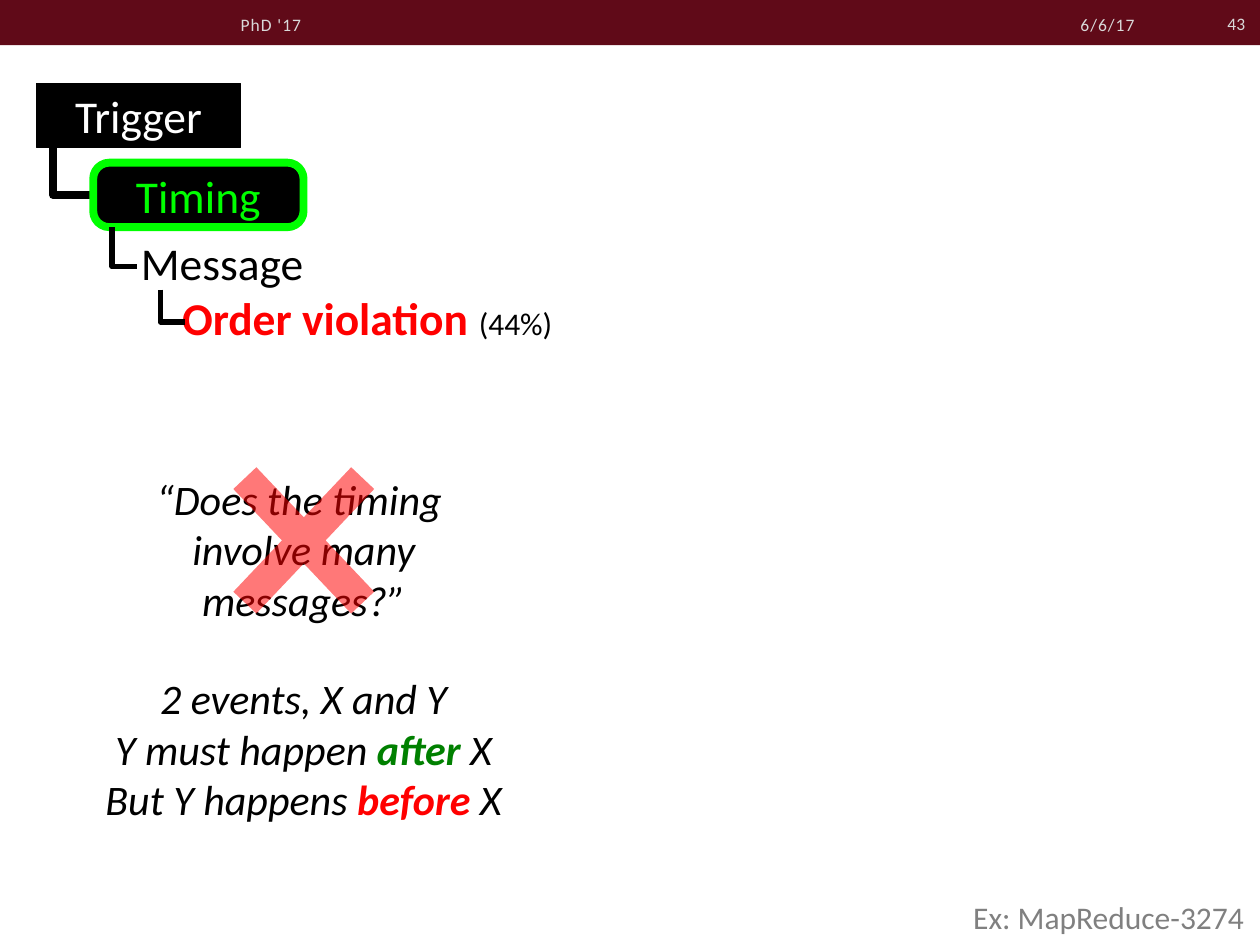
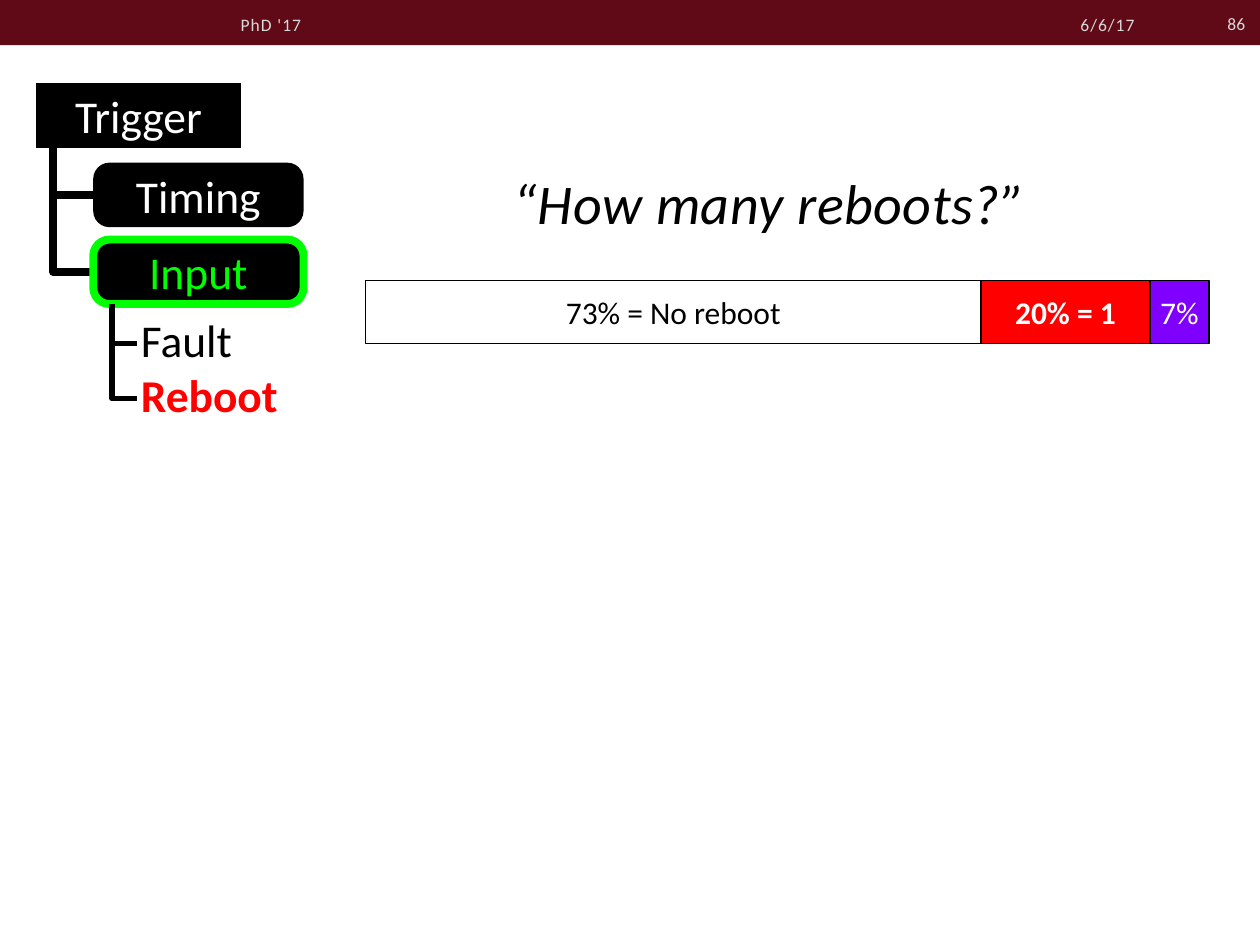
from dataclasses import dataclass

from lxml import etree
from pptx import Presentation
from pptx import util as u
from pptx.dml.color import RGBColor
from pptx.enum import shapes, text
from pptx.oxml.ns import qn


@dataclass(frozen=True)
class Theme:
    font: str = "Calibri"
    band: str = "600A18"
    band_text: str = "D9D9D9"
    ink: str = "000000"
    paper: str = "FFFFFF"
    active: str = "00FF00"
    alert: str = "FF0000"
    good: str = "008000"
    rest: str = "8000FF"
    muted: str = "808080"
    band_size: float = 10
    label_size: float = 18
    body_size: float = 24
    tree_size: float = 26
    question_size: float = 32


THEME = Theme()
PAGE_WIDTH, PAGE_HEIGHT = 25.4, 19.05
KINDS = shapes.MSO_SHAPE
ALIGN = text.PP_ALIGN
EMPHASIS = dict(color=THEME.alert, bold=True)

# Trigger tree, in cm
ROOT = (0.74, 1.68, 4.11, 1.3)
BRANCH_LEFT, BRANCH_TOP, BRANCH_WIDTH, BRANCH_HEIGHT = 1.88, 3.28, 4.24, 1.3
BRANCH_PITCH = 1.55


def color_of(value):
    return RGBColor.from_string(value)


def write(shape, paragraphs, size=THEME.body_size, color=THEME.ink, bold=False,
          italic=False, align=ALIGN.LEFT, middle=False, spacing=0, side_inset=0.25,
          indents=()):
    """Fill a shape; a paragraph is a string or a list of (string, overrides)."""
    frame = shape.text_frame
    frame.word_wrap = True
    frame.margin_left = frame.margin_right = u.Cm(side_inset)
    frame.vertical_anchor = text.MSO_ANCHOR.MIDDLE if middle else text.MSO_ANCHOR.TOP
    for index, content in enumerate(paragraphs):
        para = frame.add_paragraph() if index else frame.paragraphs[0]
        para.alignment = align
        if index < len(indents):
            para._p.get_or_add_pPr().set("marL", str(u.Cm(indents[index])))
        for words, changes in [(content, {})] if isinstance(content, str) else content:
            look = dict(color=color, bold=bold, size=size) | changes
            span = para.add_run()
            span.text = words
            span.font.name = THEME.font
            span.font.size = u.Pt(look["size"])
            span.font.bold = look["bold"]
            span.font.italic = italic
            span.font.color.rgb = color_of(look["color"])
            if spacing:
                span._r.get_or_add_rPr().set("spc", str(round(spacing * 100)))


def add_text(page, box, paragraphs, **look):
    write(page.shapes.add_textbox(*map(u.Cm, box)), paragraphs, **look)


def add_box(parent, kind, box, fill, line=None, width=0.75):
    shape = parent.add_shape(kind, *map(u.Cm, box))
    shape.shadow.inherit = False
    shape.fill.solid()
    shape.fill.fore_color.rgb = color_of(fill)
    if line:
        shape.line.color.rgb = color_of(line)
        shape.line.width = u.Pt(width)
    else:
        shape.line.fill.background()
    return shape


def add_elbow(page, start, end, width):
    """Connect two points by a line that goes down, then right."""
    (left, top), (right, bottom) = start, end
    mid_x, mid_y = (left + right) / 2, (top + bottom) / 2
    half_x, half_y = (right - left) / 2, (bottom - top) / 2
    # The frame is laid on its side and turned by 270 degrees.
    line = page.shapes.add_connector(
        shapes.MSO_CONNECTOR.ELBOW,
        u.Cm(mid_x + half_y), u.Cm(mid_y - half_x),
        u.Cm(mid_x - half_y), u.Cm(mid_y + half_x))
    line.line.color.rgb = color_of(THEME.ink)
    line.line.width = u.Pt(width)
    properties = line._element.spPr
    properties.find(qn("a:xfrm")).set("rot", str(270 * 60000))
    properties.find(qn("a:prstGeom")).set("prst", "bentConnector2")
    etree.SubElement(properties, qn("a:effectLst"))


def add_band(page, number):
    add_box(page.shapes, KINDS.RECTANGLE, (0, 0, PAGE_WIDTH, 0.91), THEME.band)
    look = dict(size=THEME.band_size, color=THEME.band_text, middle=True)
    add_text(page, (18.57, 0.13, 4.55, 0.74), ["6/6/17"],
             align=ALIGN.RIGHT, spacing=0.6, **look)
    add_text(page, (4.6, 0.13, 9.04, 0.74), ["PhD '17"], spacing=0.6, **look)
    add_text(page, (23.11, -0.03, 2.24, 1.02), [str(number)], align=ALIGN.RIGHT, **look)


def add_trigger_tree(page, branches):
    """Draw the root and its branches, the last one active; return its bottom."""
    left, top, _, height = ROOT
    joint = left + 0.33
    tops = [BRANCH_TOP + index * BRANCH_PITCH for index in range(len(branches))]
    start = top + height
    for branch_top in tops:
        end = branch_top + BRANCH_HEIGHT / 2
        add_elbow(page, (joint, start), (BRANCH_LEFT, end), 4.5)
        start = end
    look = dict(size=THEME.tree_size, align=ALIGN.CENTER, middle=True)
    root = add_box(page.shapes, KINDS.RECTANGLE, ROOT, THEME.ink, THEME.ink)
    write(root, ["Trigger"], color=THEME.paper, **look)
    for name, branch_top in zip(branches, tops):
        active = name == branches[-1]
        branch = add_box(page.shapes, KINDS.ROUNDED_RECTANGLE,
                         (BRANCH_LEFT, branch_top, BRANCH_WIDTH, BRANCH_HEIGHT),
                         THEME.ink, THEME.active if active else None, 4.5)
        branch.adjustments[0] = 0.25
        write(branch, [name], color=THEME.active if active else THEME.paper, **look)
    return tops[-1] + BRANCH_HEIGHT


def add_leaves(page, top, leaves, nested=False):
    """List two leaves under a branch; a nested second leaf hangs from the first."""
    shift = 0.83 if nested else 0
    add_text(page, (BRANCH_LEFT + 0.71, top + 0.04, 10.52, 2.49), leaves,
             size=THEME.tree_size, indents=(0, shift))
    joint = BRANCH_LEFT + 0.38
    add_elbow(page, (joint, top), (joint + 0.51, top + 0.8), 3)
    joint += 0.97 if nested else 0
    start = top + (1.26 if nested else 0.8)
    add_elbow(page, (joint, start), (joint + 0.51, top + 1.91), 3)


def add_cross(page, box):
    cross = add_box(page.shapes, KINDS.MATH_MULTIPLY, box, THEME.alert)
    cross.adjustments[0] = 0.14
    tint = cross._element.spPr.find(qn("a:solidFill"))[0]
    etree.SubElement(tint, qn("a:alpha")).set("val", "53000")


def add_share_bar(page, box, shares):
    """Split a bar into segments whose widths follow their percentages."""
    left, top, width, height = box
    group = page.shapes.add_group_shape()
    for percent, label, fill, look in shares:
        part = width * percent / 100
        segment = add_box(group.shapes, KINDS.RECTANGLE, (left, top, part, height),
                          fill, THEME.ink, 0.85)
        write(segment, [label], size=THEME.label_size, align=ALIGN.CENTER,
              middle=True, side_inset=0, **look)
        left += part


def build_order_violation(page):
    add_band(page, 43)
    bottom = add_trigger_tree(page, ["Timing"])
    violation = [("Order violation ", EMPHASIS), ("(44%)", dict(size=THEME.label_size))]
    add_leaves(page, bottom, ["Message", violation], nested=True)
    prose = dict(italic=True, align=ALIGN.CENTER)
    add_text(page, (1.78, 9.42, 8.69, 2.31),
             ["“Does the timing ", "involve many messages?”"], **prose)
    after = dict(color=THEME.good, bold=True)
    add_text(page, (1.65, 13.44, 8.94, 3.33), [
        "2 events, X and Y",
        [("Y must happen ", {}), ("after ", after), ("X", {})],
        [("But Y happens ", {}), ("before ", EMPHASIS), ("X", {})],
    ], **prose)
    add_text(page, (0, 17.91, PAGE_WIDTH - 0.07, 1.14), ["Ex: MapReduce-3274"],
             size=THEME.label_size, color=THEME.muted, align=ALIGN.RIGHT, middle=True)
    add_cross(page, (3.84, 8.48, 4.57, 4.83))


def build_reboots(page):
    add_band(page, 86)
    bottom = add_trigger_tree(page, ["Timing", "Input"])
    add_leaves(page, bottom, ["Fault", [("Reboot", EMPHASIS)]])
    add_text(page, (5.64, 3.28, 19.76, 2.01), ["“How many reboots?”"],
             size=THEME.question_size, italic=True, align=ALIGN.CENTER, spacing=0.3)
    add_share_bar(page, (7.37, 5.66, 17, 1.27), [
        (73, "73% = No reboot", THEME.paper, {}),
        (20, "20% = 1", THEME.alert, dict(color=THEME.paper, bold=True)),
        (7, "7%", THEME.rest, dict(color=THEME.paper)),
    ])


def main():
    deck = Presentation()
    deck.slide_width, deck.slide_height = u.Cm(PAGE_WIDTH), u.Cm(PAGE_HEIGHT)
    for build in (build_order_violation, build_reboots):
        build(deck.slides.add_slide(deck.slide_layouts[6]))
    deck.save("out.pptx")


if __name__ == "__main__":
    main()
